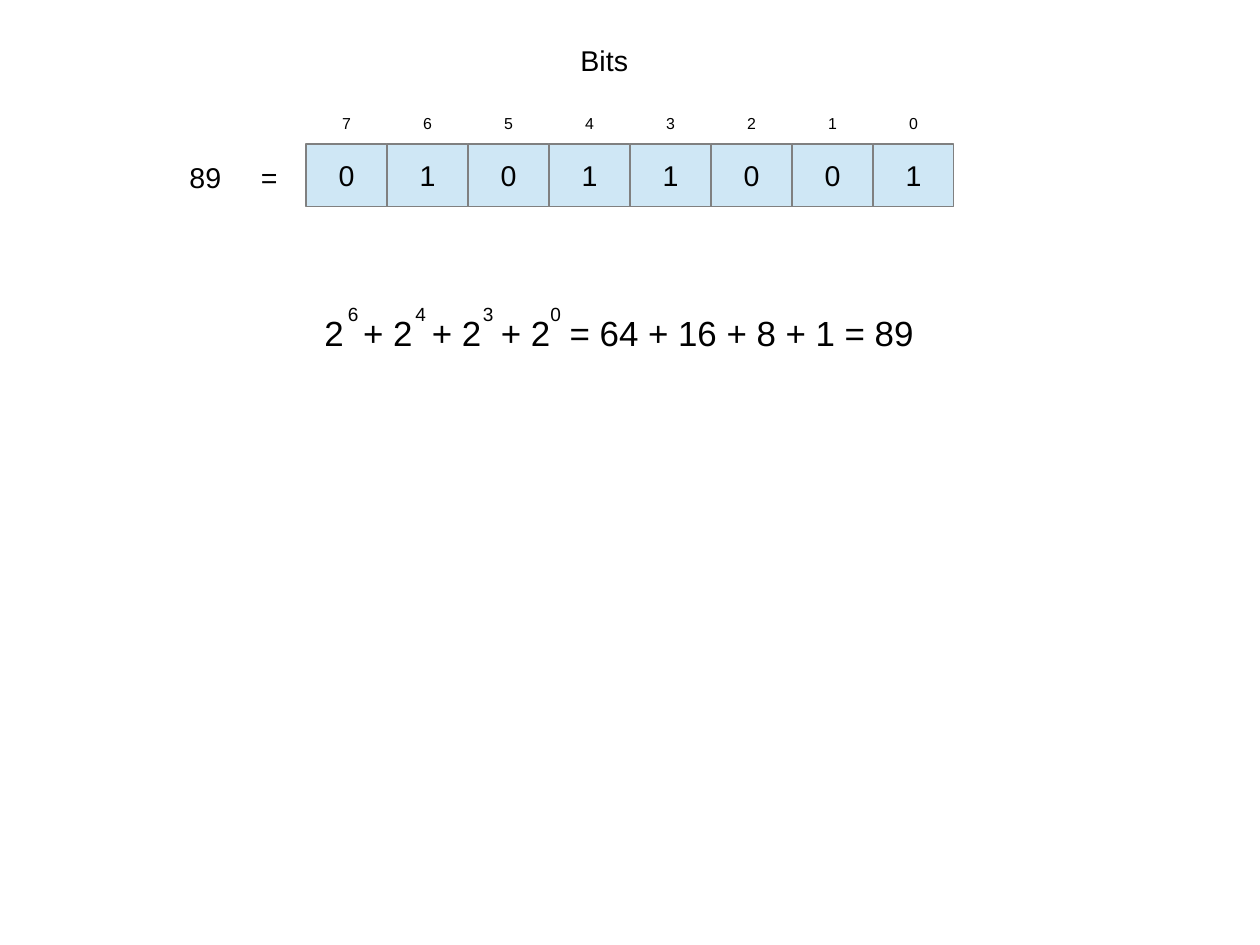
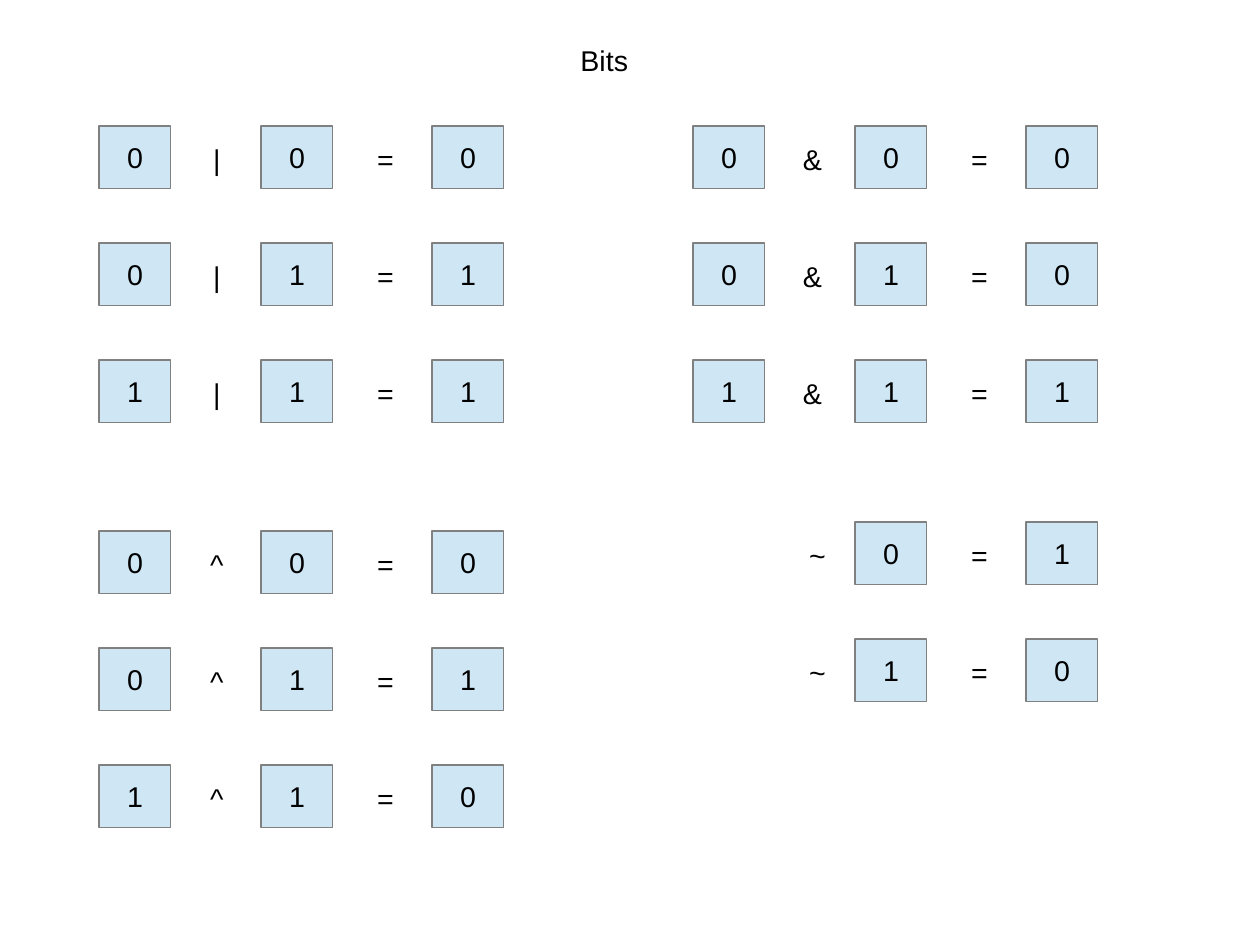
from lxml import etree
from pptx import Presentation
from pptx.dml.color import RGBColor
from pptx.enum.shapes import MSO_SHAPE
from pptx.enum.text import MSO_ANCHOR, MSO_AUTO_SIZE, PP_ALIGN
from pptx.oxml.ns import qn
from pptx.util import Cm, Pt

RECTANGLE = MSO_SHAPE.RECTANGLE
MIDDLE = MSO_ANCHOR.MIDDLE
FIT_SHAPE = MSO_AUTO_SIZE.SHAPE_TO_FIT_TEXT
LEFT, CENTER = PP_ALIGN.LEFT, PP_ALIGN.CENTER

# Shared style
FONT = "Arial"
BLACK = RGBColor(0x00, 0x00, 0x00)
PALE_BLUE = RGBColor(0xCF, 0xE7, 0xF5)
GRAY = RGBColor(0x80, 0x80, 0x80)
BODY_SIZE, INDEX_SIZE, EXPONENT_SIZE, FORMULA_SIZE = 18, 10, 12, 22

# Grid, in centimetres
PAGE_WIDTH, PAGE_HEIGHT = 28, 21
BIT_WIDTH, BIT_HEIGHT = 1.6, 1.4
TEXT_DROP = 0.24  # from the top of a bit to the top of the text beside it
BYTE_LEFT, BYTE_TOP, BYTE_PITCH = 6.8, 3.2, 1.8
INDEX_TOP = 2.41
FORMULA_LEFT, FORMULA_TOP = 6.96, 6.81
EXPONENT_CENTER, EXPONENT_TOP, EXPONENT_PITCH = 7.84, 6.6, 1.5
TERM_TAB, TERM_PITCH = 0.86, 1.53
ROW_PITCH = 2.6
BIT_COLUMNS = (0, 3.6, 7.4)
BINARY_CENTER, UNARY_CENTER, EQUALS_CENTER = 2.62, 2.76, 6.36

# Content
BYTE = "01011001"
POWERS = "6430"
BINARY_BLOCKS = (
    (2.2, 2.8, "|", ("000", "011", "111")),
    (15.4, 2.8, "&", ("000", "010", "111")),
    (2.2, 11.8, "^", ("000", "011", "110")),
)
UNARY_BLOCK = (15.4, 11.6, "~", ("01", "10"))


def style_paragraph(para, size, align):
    para.alignment = align
    para.font.name = FONT
    para.font.size = Pt(size)
    para.font.color.rgb = BLACK


def add_tab_stops(para, stops):
    tab_list = etree.SubElement(para._p.get_or_add_pPr(), qn("a:tabLst"))
    for stop in stops:
        etree.SubElement(tab_list, qn("a:tab"), pos=str(Cm(stop)), algn="l")


def add_text(page, text, left, top, width,
             size=BODY_SIZE, align=LEFT, tabs=()):
    height = Pt(size * 1.15) + Cm(0.25)
    box = page.shapes.add_textbox(Cm(left), Cm(top), Cm(width), height)
    box.text_frame.word_wrap = False
    box.text_frame.auto_size = FIT_SHAPE
    para = box.text_frame.paragraphs[0]
    para.text = text
    if tabs:
        add_tab_stops(para, tabs)
    style_paragraph(para, size, align)


def add_symbol(page, symbol, center, top, size=BODY_SIZE):
    width = 0.86 if size == BODY_SIZE else 0.72
    add_text(page, symbol, center - width / 2, top, width, size, CENTER)


def add_bit(page, value, left, top, width=BIT_WIDTH):
    box = page.shapes.add_shape(
        RECTANGLE, Cm(left), Cm(top), Cm(width), Cm(BIT_HEIGHT))
    box.shadow.inherit = False
    box.fill.solid()
    box.fill.fore_color.rgb = PALE_BLUE
    box.line.color.rgb = GRAY
    box.line.width = Pt(0)
    box.text_frame.vertical_anchor = MIDDLE
    para = box.text_frame.paragraphs[0]
    para.text = value
    style_paragraph(para, BODY_SIZE, CENTER)


def add_page(deck, title):
    page = deck.slides.add_slide(deck.slide_layouts[6])
    add_text(page, title, 12.65, 0.84, 1.56)
    return page


def add_byte(page):
    for column, value in enumerate(BYTE):
        left = BYTE_LEFT + column * BYTE_PITCH
        add_bit(page, value, left, BYTE_TOP, BYTE_PITCH)
        add_symbol(page, str(len(BYTE) - 1 - column),
                   left + BYTE_PITCH / 2, INDEX_TOP, INDEX_SIZE)


def add_power_sum(page):
    # Tab stops leave room for the exponents
    tabs = [TERM_TAB + term * TERM_PITCH for term in range(len(POWERS))]
    add_text(page, "2\t+ 2\t+ 2\t+ 2\t= 64 + 16 + 8 + 1 = 89",
             FORMULA_LEFT, FORMULA_TOP, 13.84, FORMULA_SIZE, tabs=tabs)
    for term, power in enumerate(POWERS):
        add_symbol(page, power, EXPONENT_CENTER + term * EXPONENT_PITCH,
                   EXPONENT_TOP, EXPONENT_SIZE)


def add_truth_block(page, left, top, operator, rows, operator_center):
    for number, values in enumerate(rows):
        row_top = top + number * ROW_PITCH
        # A unary row has no first operand and fills the last two columns
        for value, column in zip(values, BIT_COLUMNS[-len(values):]):
            add_bit(page, value, left + column, row_top)
        for symbol, center in ((operator, operator_center),
                               ("=", EQUALS_CENTER)):
            add_symbol(page, symbol, left + center, row_top + TEXT_DROP)


def main():
    deck = Presentation()
    deck.slide_width, deck.slide_height = Cm(PAGE_WIDTH), Cm(PAGE_HEIGHT)

    # A byte and its value
    page = add_page(deck, "Bits")
    add_byte(page)
    add_text(page, "89\t=", 3.96, BYTE_TOP + TEXT_DROP, 2.46, tabs=(1.59,))
    add_power_sum(page)

    # Bitwise operators
    page = add_page(deck, "Bits")
    for block in BINARY_BLOCKS:
        add_truth_block(page, *block, BINARY_CENTER)
    add_truth_block(page, *UNARY_BLOCK, UNARY_CENTER)

    deck.save("out.pptx")


if __name__ == "__main__":
    main()
